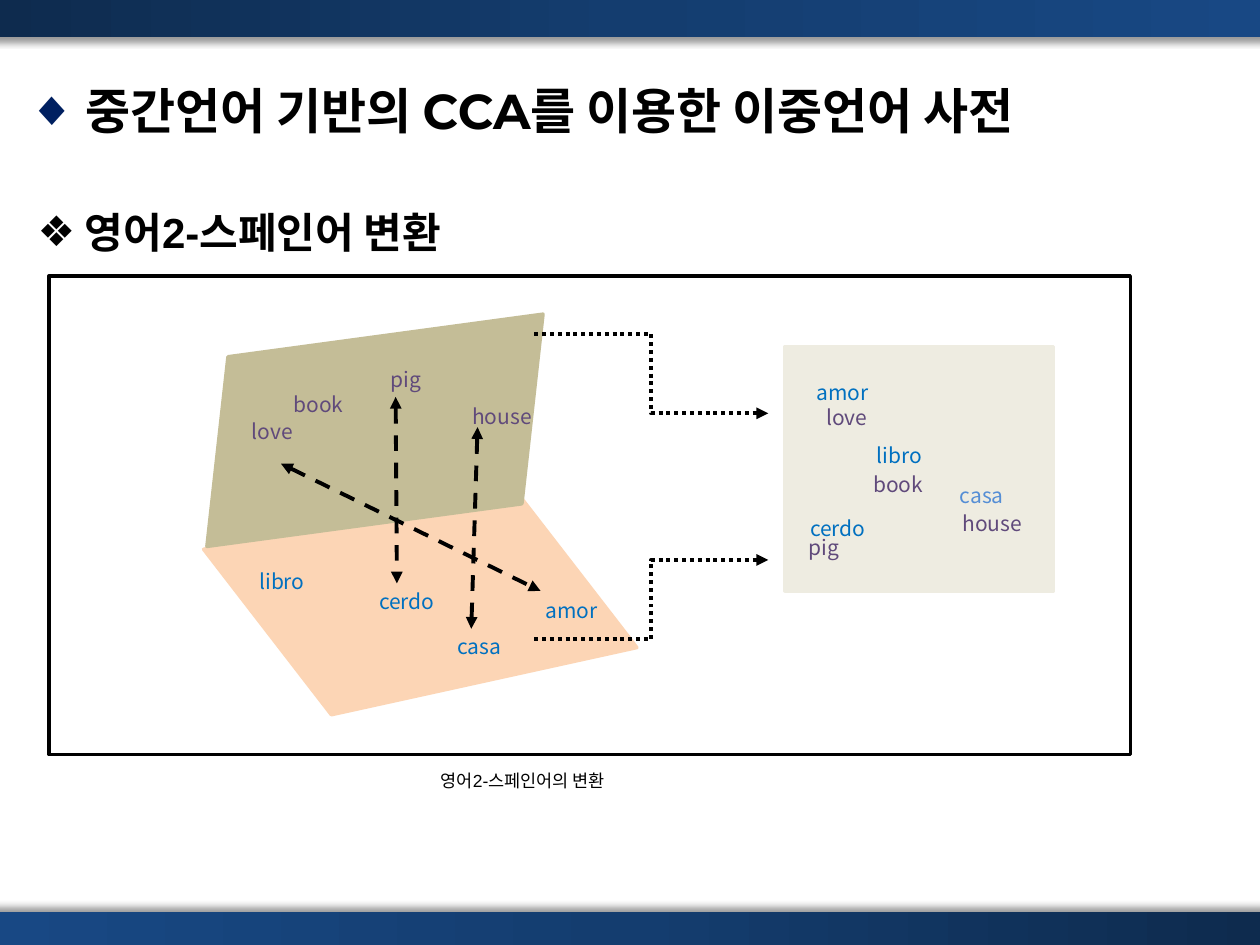
"""Build the slide on a bilingual dictionary made with CCA through a pivot language."""
from dataclasses import dataclass

from lxml.etree import SubElement
from pptx import Presentation
from pptx.dml.color import RGBColor
from pptx.enum.dml import MSO_LINE
from pptx.enum.shapes import MSO_CONNECTOR, MSO_SHAPE
from pptx.enum.text import MSO_ANCHOR, MSO_AUTO_SIZE, PP_ALIGN
from pptx.oxml import parse_xml
from pptx.oxml.ns import nsdecls, qn
from pptx.util import Pt


@dataclass(frozen=True)
class Theme:
    """Colours, fonts and type sizes of the slide."""
    black: str = "000000"
    white: str = "FFFFFF"
    navy: str = "002060"
    bar: tuple = ("0E2B4E", "143D6F", "184884")
    panel: str = "EEECE1"
    peach: str = "FCD5B5"
    khaki: str = "C4BD97"
    english: str = "604A7B"
    spanish: str = "0070C0"
    light_blue: str = "558ED5"
    title_font: str = "Montserrat"
    text_font: str = "Arial"
    word_font: str = "Noto Sans CJK KR"
    title_size: int = 28
    heading_size: int = 24
    word_size: int = 12
    caption_size: int = 10


T = Theme()
BAR_LEFT, BAR_WIDTH, BAR_HEIGHT = -5, 729, 21
WORD_HEIGHT = 21.6

WORDS = [
    ("love", 136.8, 235.4, T.english),
    ("book", 160.6, 220.3, T.english),
    ("pig", 216, 205.9, T.english),
    ("house", 262.8, 226.8, T.english),
    ("libro", 141.1, 321.1, T.spanish),
    ("cerdo", 209.5, 332.6, T.spanish),
    ("casa", 254.2, 358.6, T.spanish),
    ("amor", 304.6, 337.7, T.spanish),
    ("amor", 459.4, 213.1, T.spanish),
    ("love", 465.1, 227.5, T.english),
    ("libro", 493.9, 249.1, T.spanish),
    ("book", 491.8, 265.7, T.english),
    ("casa", 541.4, 272.2, T.light_blue),
    ("house", 542.9, 288, T.english),
    ("cerdo", 455.8, 290.9, T.spanish),
    ("pig", 455, 301.7, T.english),
]
PAIR_ARROWS = [
    (160.6, 265, 308.9, 337.7),
    (226.1, 226.8, 226.8, 333.4),
    (272.9, 244.1, 269.3, 359.3),
]
MAPPING_ARROWS = [(305.3, 190.8, 439, 236.2), (305.3, 365.4, 439, 320)]


def place(s, x, y, w, h):
    """Move and size a shape in points."""
    s.left, s.top, s.width, s.height = Pt(x), Pt(y), Pt(w), Pt(h)


def add_block(slide, kind, box, fill, line, rotation=0):
    """Add a filled and outlined preset shape."""
    s = slide.shapes.add_shape(kind, *map(Pt, box))
    s.shadow.inherit = False
    s.fill.solid()
    s.fill.fore_color.rgb = RGBColor.from_string(fill)
    s.line.color.rgb = RGBColor.from_string(line)
    s.line.width = Pt(2)
    s.rotation = rotation
    return s


def add_bar(slide, y, shadow_angle, flip=False):
    """Add a gradient bar whose soft shadow falls at the given angle."""
    s = slide.shapes.add_shape(
        MSO_SHAPE.RECTANGLE, Pt(BAR_LEFT), Pt(y), Pt(BAR_WIDTH), Pt(BAR_HEIGHT))
    s.line.fill.background()
    stops = "".join(
        f'<a:gs pos="{i * 50000}"><a:srgbClr val="{c}"/></a:gs>' for i, c in enumerate(T.bar))
    pr = s._element.spPr
    pr.find(qn("a:prstGeom")).addnext(parse_xml(
        f'<a:gradFill {nsdecls("a")} rotWithShape="1"><a:gsLst>{stops}</a:gsLst>'
        '<a:lin ang="0" scaled="0"/></a:gradFill>'))
    pr.append(parse_xml(
        f'<a:effectLst {nsdecls("a")}><a:outerShdw blurRad="{Pt(4)}" dist="{Pt(3)}" '
        f'dir="{shadow_angle * 60000}" rotWithShape="0"><a:srgbClr val="{T.black}">'
        '<a:alpha val="40000"/></a:srgbClr></a:outerShdw></a:effectLst>'))
    if flip:
        pr.xfrm.set("flipH", "1")


def add_arrow(slide, kind, ends, dash, both=False):
    """Add a dashed connector with a triangle at its end, or at both ends."""
    s = slide.shapes.add_connector(kind, *map(Pt, ends))
    s.line.color.rgb = RGBColor.from_string(T.black)
    s.line.width = Pt(2.25)
    s.line.dash_style = dash
    ln = s.line._get_or_add_ln()
    for tag in ("a:headEnd", "a:tailEnd") if both else ("a:tailEnd",):
        SubElement(ln, qn(tag), type="triangle")
    SubElement(s._element.spPr, qn("a:effectLst"))


def set_font(p, name, size, color, bold=False):
    """Format a whole paragraph."""
    p.font.name, p.font.size, p.font.bold = name, Pt(size), bold
    p.font.color.rgb = RGBColor.from_string(color)


def set_bullet(p, char, indent, color):
    """Give a paragraph a hanging bullet and justify it."""
    pr = p._p.get_or_add_pPr()
    pr.set("marL", str(Pt(indent)))
    pr.set("indent", str(-Pt(indent)))
    SubElement(SubElement(pr, qn("a:buClr")), qn("a:srgbClr"), val=color)
    SubElement(pr, qn("a:buFont"), typeface=T.text_font)
    SubElement(pr, qn("a:buChar"), char=char)
    p.alignment = PP_ALIGN.JUSTIFY


def add_text(slide, box, text):
    """Add a wrapping text box and return its frame."""
    tf = slide.shapes.add_textbox(*map(Pt, box)).text_frame
    tf.word_wrap = True
    tf.text = text
    return tf


def add_label(slide, box, text, name, size, color):
    """Add a one-line label that grows with its text."""
    tf = add_text(slide, box, text)
    tf.auto_size = MSO_AUTO_SIZE.SHAPE_TO_FIT_TEXT
    set_font(tf.paragraphs[0], name, size, color)


def set_title(slide, text):
    """Place and format the title placeholder."""
    s = slide.shapes.title
    place(s, 8.6, 31.7, 702.7, 62.6)
    tf = s.text_frame
    tf.text = text
    tf.auto_size = MSO_AUTO_SIZE.NONE
    tf.vertical_anchor = MSO_ANCHOR.MIDDLE
    p = tf.paragraphs[0]
    set_bullet(p, "◆", 33, T.navy)
    set_font(p, T.title_font, T.title_size, T.black, True)


def add_heading(slide, text):
    """Add the bulleted heading above the figure."""
    p = add_text(slide, (14.4, 100, 691.2, 414), text).paragraphs[0]
    set_bullet(p, "❖", 27, T.black)
    p.line_spacing = 1.5
    set_font(p, T.text_font, T.heading_size, T.black, True)


def add_planes(slide):
    """Add the joint space and the two language planes."""
    add_block(slide, MSO_SHAPE.RECTANGLE, (448.6, 198, 153.4, 139.7), T.panel, T.panel)
    s = add_block(slide, MSO_SHAPE.PARALLELOGRAM, (125.3, 288, 229.7, 108),
                  T.peach, T.peach, 347.6)
    s.adjustments[0] = 0.472
    s._element.spPr.xfrm.set("flipV", "1")
    add_block(slide, MSO_SHAPE.PARALLELOGRAM, (110.2, 193, 208.1, 105.8),
              T.khaki, T.khaki, 352.3)


def main():
    """Build and save the slide."""
    prs = Presentation()
    prs.slide_width, prs.slide_height = Pt(720), Pt(540)
    slide = prs.slides.add_slide(prs.slide_layouts[5])
    set_title(slide, "중간언어 기반의 CCA를 이용한 이중언어 사전")
    add_block(slide, MSO_SHAPE.RECTANGLE, (28.1, 157.7, 617.8, 273.6), T.white, T.black)
    add_bar(slide, 0, 90)
    add_bar(slide, 521.3, 270, flip=True)
    add_heading(slide, "영어2-스페인어 변환")
    add_planes(slide)
    for ends in PAIR_ARROWS:
        add_arrow(slide, MSO_CONNECTOR.STRAIGHT, ends, MSO_LINE.DASH, both=True)
    for ends in MAPPING_ARROWS:
        add_arrow(slide, MSO_CONNECTOR.ELBOW, ends, MSO_LINE.ROUND_DOT)
    for text, x, y, color in WORDS:
        add_label(slide, (x, y, 51.1, WORD_HEIGHT), text, T.word_font, T.word_size, color)
    add_label(slide, (244.8, 436.3, 238.3, 19.4), "영어2-스페인어의 변환",
              T.text_font, T.caption_size, T.black)
    prs.save("out.pptx")


if __name__ == "__main__":
    main()
